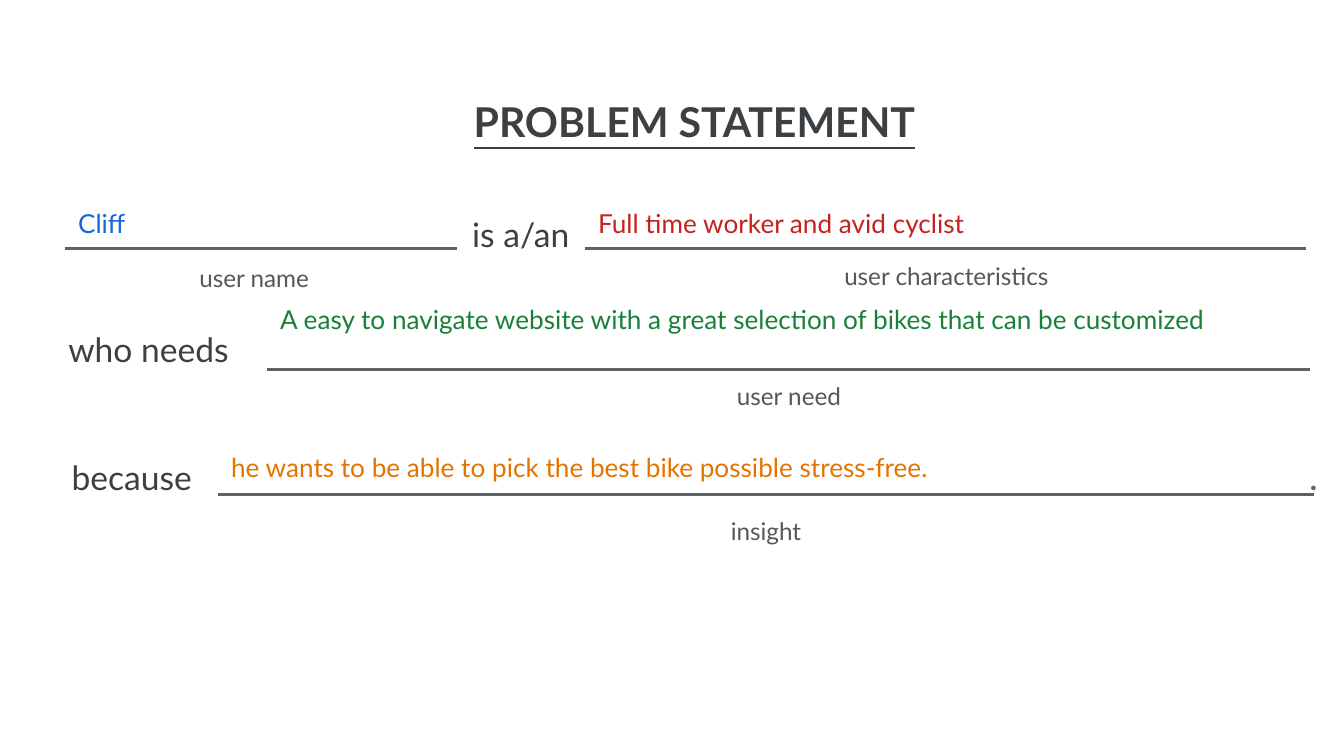
from lxml.etree import SubElement
from pptx import Presentation
from pptx.dml.color import RGBColor
from pptx.enum.shapes import MSO_CONNECTOR
from pptx.enum.text import MSO_ANCHOR, MSO_AUTO_SIZE, PP_ALIGN
from pptx.oxml.ns import qn
from pptx.util import Pt


def color(value):
    return RGBColor.from_string(value)


def write(holder, text, box, size, ink, align=PP_ALIGN.CENTER, inset=7.2, bold=False, underline=False):
    holder.left, holder.top, holder.width, holder.height = [Pt(length) for length in box]
    frame = holder.text_frame
    frame.word_wrap = True
    frame.auto_size = MSO_AUTO_SIZE.NONE
    frame.vertical_anchor = MSO_ANCHOR.TOP
    frame.margin_left = frame.margin_right = frame.margin_top = frame.margin_bottom = Pt(inset)
    paragraph = frame.paragraphs[0]
    paragraph.alignment = align
    paragraph.line_spacing = 1.0
    paragraph.space_before = paragraph.space_after = Pt(0)
    properties = paragraph._p.get_or_add_pPr()
    properties.set("marL", "0")
    properties.set("indent", "0")
    SubElement(properties, qn("a:buNone"))
    run = paragraph.add_run()
    run.text = text
    run.font.name = "Lato"
    run.font.size = Pt(size)
    run.font.bold = bold
    run.font.underline = underline
    run.font.color.rgb = color(ink)


deck = Presentation()
deck.slide_width, deck.slide_height = Pt(720), Pt(405)
slide = deck.slides.add_slide(deck.slide_layouts[4])
title, *answers = slide.placeholders

write(title, "PROBLEM STATEMENT", (31, 44.6, 682, 39), 22, "3C4043", bold=True, underline=True)

blanks = [
    ("Cliff", "1967D2", 34.6, 103.7, 210.2, 133.2),
    ("Full time worker and avid cyclist", "C5221F", 313.2, 103.7, 386.6, 133.2),
    ("A easy to navigate website with a great selection of bikes that can be customized",
     "188038", 142.9, 155.5, 558.7, 198),
    ("he wants to be able to pick the best bike possible stress-free.",
     "E37400", 116.6, 234.7, 587.5, 265),
]
for answer, (text, ink, left, top, width, rule) in zip(answers, blanks):
    write(answer, text, (left, top, width, 30.2), 14, ink, align=PP_ALIGN.LEFT)
    underline = slide.shapes.add_connector(
        MSO_CONNECTOR.STRAIGHT, Pt(left), Pt(rule), Pt(left + width), Pt(rule))
    underline.line.color.rgb = color("5E6268")
    underline.line.width = Pt(1.5)
    SubElement(underline._element.spPr, qn("a:effectLst"))

captions = [
    ("user name", (31, 133.9, 210.2, 25.2)),
    ("user characteristics", (313.2, 132.5, 387.4, 25.2)),
    ("user need", (143.3, 197.3, 558.7, 37.4)),
    ("insight", (116.6, 269.3, 587.5, 45.4)),
]
for text, box in captions:
    write(slide.shapes.add_textbox(0, 0, 0, 0), text, box, 13, "575757")

connectives = [
    ("is a/an", (244.8, 110.9, 68.4, 28.8), 3.6),
    ("who needs", (6.5, 169.2, 146.2, 45.4), 7.2),
    ("because", (6.5, 237.6, 128.2, 38.9), 7.2),
]
for text, box, inset in connectives:
    write(slide.shapes.add_textbox(0, 0, 0, 0), text, box, 18, "3C4043", inset=inset)

write(slide.shapes.add_textbox(0, 0, 0, 0), ".", (697.7, 239, 23, 31.7), 20, "646464",
      align=PP_ALIGN.LEFT, inset=3.6)

deck.save("out.pptx")
